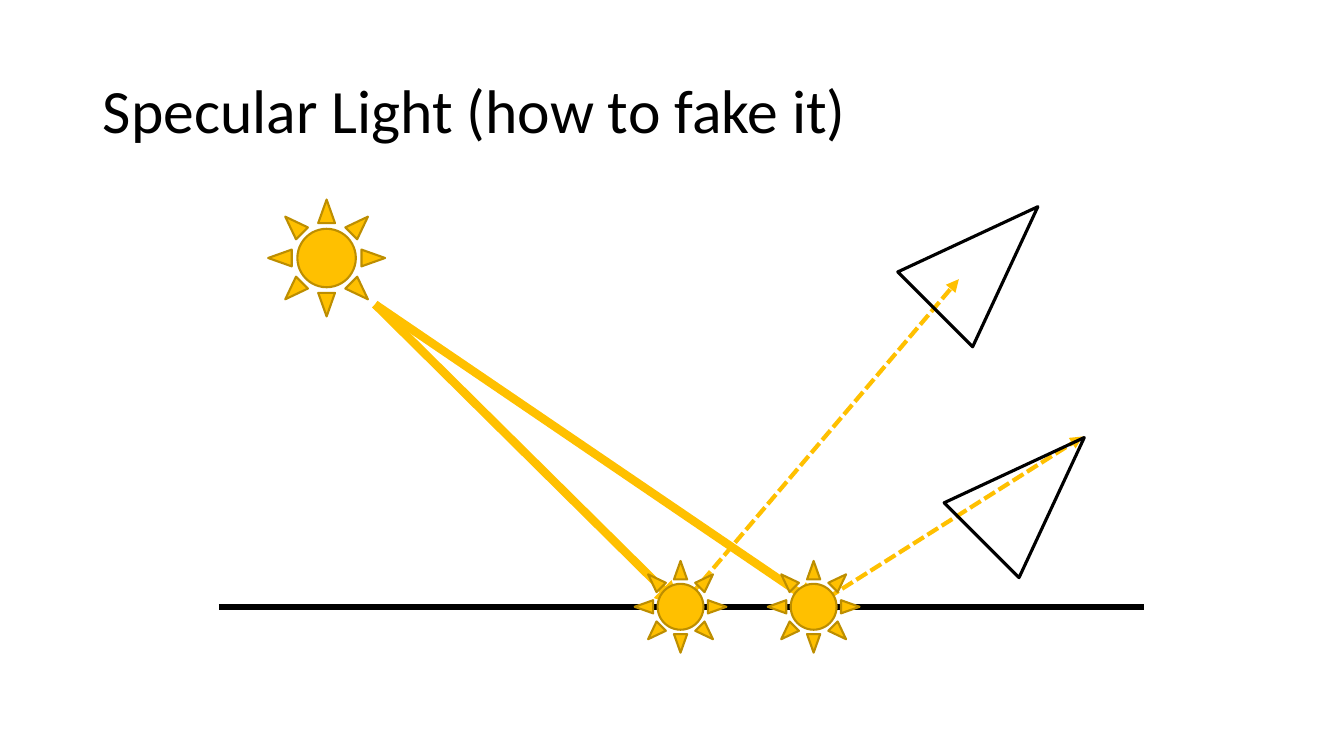
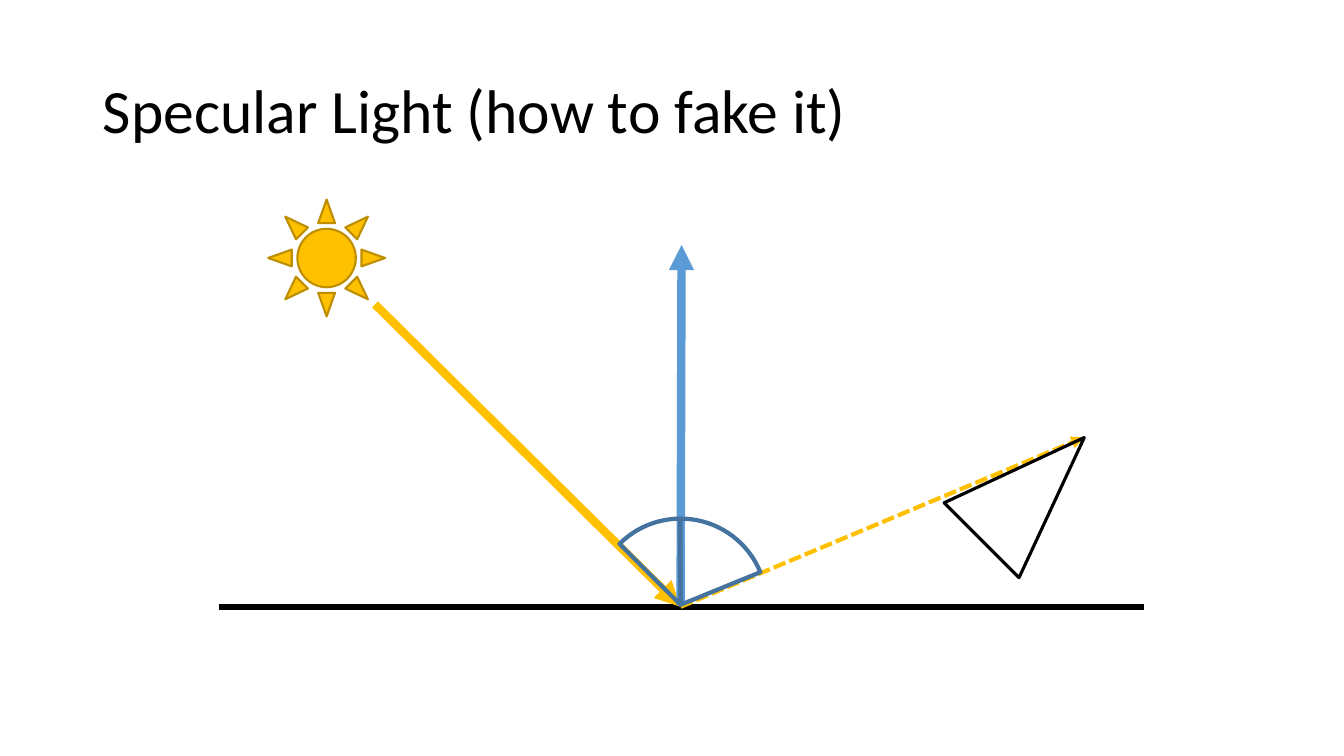
from dataclasses import dataclass

from lxml import etree
from pptx import Presentation
from pptx.dml.color import RGBColor
from pptx.enum import dml, shapes, text
from pptx.oxml.ns import qn
from pptx.util import Inches, Pt


@dataclass(frozen=True)
class Theme:
    font: str = "Calibri"
    title_size: int = 44
    ink: str = "000000"
    light: str = "FFC000"
    sun_edge: str = "BD8E00"
    normal: str = "5B9BD5"
    angle: str = "43739E"
    thick: float = 6
    ground: float = 4.5
    medium: float = 3
    outline: float = 2.25
    thin: float = 1.5


@dataclass(frozen=True)
class Box:
    left: float
    top: float
    width: float
    height: float

    def at(self, x, y):
        return Inches(self.left + x), Inches(self.top + y)


THEME = Theme()
TITLE = "Specular Light (how to fake it)"
TITLE_BOX = Box(0.92, 0.4, 11.5, 1.45)
SCENE = Box(2.17, 1.84, 9.18, 4.63)

# Points inside the scene box
GROUND_Y = 4.18
RAY_START = (1.55, 1.18)
HIT = (4.58, GROUND_Y)
SUN_CENTER = (1.07, 0.72)
SUN_SIZE, GLINT_SIZE = 1.16, 0.91
EYE_SIZE = (1.05, 1.44)
HIGH_EYE, LOW_EYE = (7.09, 0), (7.55, 2.29)


def rgb(color):
    return RGBColor.from_string(color)


def add_line(s, box, start, end, color, width, arrow=True, dashed=False):
    line = s.shapes.add_connector(
        shapes.MSO_CONNECTOR.STRAIGHT, *box.at(*start), *box.at(*end))
    line.line.color.rgb = rgb(color)
    line.line.width = Pt(width)
    if dashed:
        line.line.dash_style = dml.MSO_LINE.SQUARE_DOT
    if arrow:
        ln = line.line._get_or_add_ln()
        etree.SubElement(ln, qn("a:tailEnd"), type="triangle")
    etree.SubElement(line._element.spPr, qn("a:effectLst"))


def add_figure(s, box, kind, pos, size, edge, width, fill=None):
    sp = s.shapes.add_shape(
        kind, *box.at(*pos), Inches(size[0]), Inches(size[1]))
    sp.shadow.inherit = False
    if fill:
        sp.fill.solid()
        sp.fill.fore_color.rgb = rgb(fill)
    else:
        sp.fill.background()
    sp.line.color.rgb = rgb(edge)
    sp.line.width = Pt(width)
    return sp


def add_sun(s, box, center, size):
    pos = [c - size / 2 for c in center]
    add_figure(s, box, shapes.MSO_SHAPE.SUN, pos, (size, size),
               THEME.sun_edge, THEME.thin, THEME.light)


def add_eye(s, box, pos):
    """Draw the viewer as a tilted triangle."""
    eye = add_figure(s, box, shapes.MSO_SHAPE.ISOSCELES_TRIANGLE, pos,
                     EYE_SIZE, THEME.ink, THEME.outline)
    eye.rotation = 45


def add_wedge(s, box, center, size, start, end):
    """Draw a pie sector between two clockwise angles in degrees."""
    pos = [c - size / 2 for c in center]
    pie = add_figure(s, box, shapes.MSO_SHAPE.PIE, pos, (size, size),
                     THEME.angle, THEME.medium)
    for i, degrees in enumerate((start, end)):
        pie.adjustments[i] = degrees * 0.6  # 60000 units per degree


def add_ray(s, box, end):
    add_line(s, box, RAY_START, end, THEME.light, THEME.thick)


def add_reflection(s, box, start, end):
    add_line(s, box, start, end, THEME.light, THEME.medium, dashed=True)


def add_title(s, box):
    title = s.shapes.title
    title.left, title.top = box.at(0, 0)
    title.width, title.height = Inches(box.width), Inches(box.height)
    tf = title.text_frame
    tf.text = TITLE
    tf.word_wrap = True
    tf.auto_size = text.MSO_AUTO_SIZE.NONE
    tf.vertical_anchor = text.MSO_ANCHOR.MIDDLE
    p = tf.paragraphs[0]
    p.alignment = text.PP_ALIGN.LEFT
    p.line_spacing = 0.9
    font = p.runs[0].font
    font.name = THEME.font
    font.size = Pt(THEME.title_size)
    font.color.rgb = rgb(THEME.ink)


def add_base_slide(prs):
    """Add a slide with the title, ground and sun that all slides share."""
    s = prs.slides.add_slide(prs.slide_layouts[5])
    add_title(s, TITLE_BOX)
    add_line(s, SCENE, (0, GROUND_Y), (SCENE.width, GROUND_Y),
             THEME.ink, THEME.ground, arrow=False)
    add_sun(s, SCENE, SUN_CENTER, SUN_SIZE)
    return s


def draw_highlights(s, box):
    """Show each viewer seeing the highlight at a different point."""
    second = (5.9, GROUND_Y)
    bounces = (
        (HIT, HIT, (7.34, 0.93), HIGH_EYE),
        ((5.96, GROUND_Y), second, (8.57, 2.49), LOW_EYE),
    )
    for ray_end, glint, seen, eye in bounces:
        add_ray(s, box, ray_end)
        add_reflection(s, box, glint, seen)
        add_eye(s, box, eye)
        add_sun(s, box, glint, GLINT_SIZE)


def draw_angles(s, box):
    """Show the angles of the light and the viewer to the normal."""
    add_ray(s, box, HIT)
    add_reflection(s, box, HIT, (8.58, 2.5))
    add_eye(s, box, LOW_EYE)
    foot = (4.58, 4.16)
    add_line(s, box, foot, (4.59, 0.59), THEME.normal, THEME.thick)
    for start, end in ((224.91, 270), (269.39, 337.78)):
        add_wedge(s, box, foot, 1.71, start, end)


def main():
    prs = Presentation()
    prs.slide_width, prs.slide_height = Inches(13.33), Inches(7.5)
    for draw in (draw_highlights, draw_angles):
        draw(add_base_slide(prs), SCENE)
    prs.save("out.pptx")


if __name__ == "__main__":
    main()
